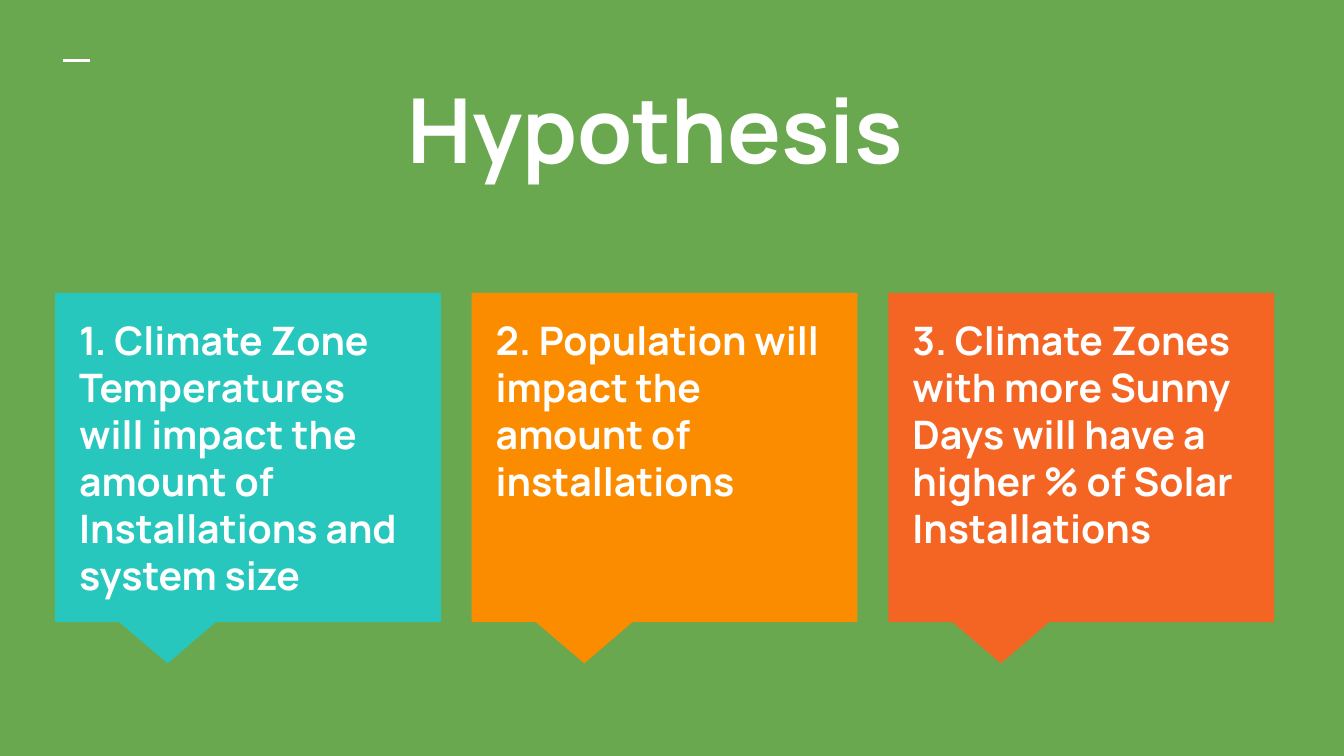
"""Build the hypothesis slide with three callout cards."""
from pptx import Presentation
from pptx.dml.color import RGBColor
from pptx.enum.shapes import MSO_CONNECTOR, MSO_SHAPE
from pptx.enum.text import MSO_ANCHOR, PP_ALIGN
from pptx.oxml import parse_xml
from pptx.oxml.ns import nsdecls
from pptx.util import Inches, Pt

TITLE = "Hypothesis "
CARDS = [
    ("1. Climate Zone Temperatures will impact the amount of "
     "Installations and system size", "27C7BD"),
    ("2. Population will impact the amount of installations", "FB8C00"),
    ("3. Climate Zones with more Sunny Days will have a higher % "
     "of Solar Installations", "F46524"),
]
THEME = {"font": "Manrope", "back": "6AA84F", "ink": "FFFFFF",
         "title": 48, "card": 21}
LEFT, TOP, WIDE, HIGH, GAP = 0.41, 2.18, 2.87, 2.45, 0.23
PAD = 0.08


def color(name):
    return RGBColor.from_string(THEME.get(name, name))


def place(left, top, wide, high):
    return [Inches(n) for n in (left, top, wide, high)]


def write(shape, text, size, align):
    frame = shape.text_frame
    frame.text = text
    frame.word_wrap = True
    frame.vertical_anchor = MSO_ANCHOR.TOP
    frame.margin_left = frame.margin_right = Inches(0.1)
    frame.margin_top = frame.margin_bottom = Inches(0.1)
    para = frame.paragraphs[0]
    para.alignment = align
    para.line_spacing = 1.0
    para.space_before = Pt(0)
    font = para.runs[0].font
    font.name, font.size, font.bold = THEME["font"], Pt(THEME[size]), True
    font.color.rgb = color("ink")


def add_dash(slide):
    dash = slide.shapes.add_connector(
        MSO_CONNECTOR.STRAIGHT, *place(0.47, 0.45, 0.67, 0.45))
    dash.line.color.rgb = color("ink")
    dash.line.width = Pt(1.5)
    dash._element.spPr.append(parse_xml(f"<a:effectLst {nsdecls('a')}/>"))


def add_card(slide, left, text, fill):
    card = slide.shapes.add_shape(
        MSO_SHAPE.RECTANGULAR_CALLOUT, *place(left, TOP, WIDE, HIGH))
    card.adjustments[0], card.adjustments[1] = -0.208, 0.625
    card.shadow.inherit = False
    card.fill.solid()
    card.fill.fore_color.rgb = color(fill)
    card.line.fill.background()
    label = slide.shapes.add_textbox(
        *place(left + PAD, TOP + 0.07, WIDE - 2 * PAD, 2.19))
    write(label, text, "card", PP_ALIGN.LEFT)


deck = Presentation()
deck.slide_width = Inches(10)
deck.slide_height = deck.slide_width * 9 // 16
slide = deck.slides.add_slide(deck.slide_layouts[5])
slide.background.fill.solid()
slide.background.fill.fore_color.rgb = color("back")

add_dash(slide)
title = slide.shapes.title
title.left, title.top, title.width, title.height = place(0.23, 0.45, 9.43, 1.12)
write(title, TITLE, "title", PP_ALIGN.CENTER)
for i, (text, fill) in enumerate(CARDS):
    add_card(slide, LEFT + i * (WIDE + GAP), text, fill)

deck.save("out.pptx")
